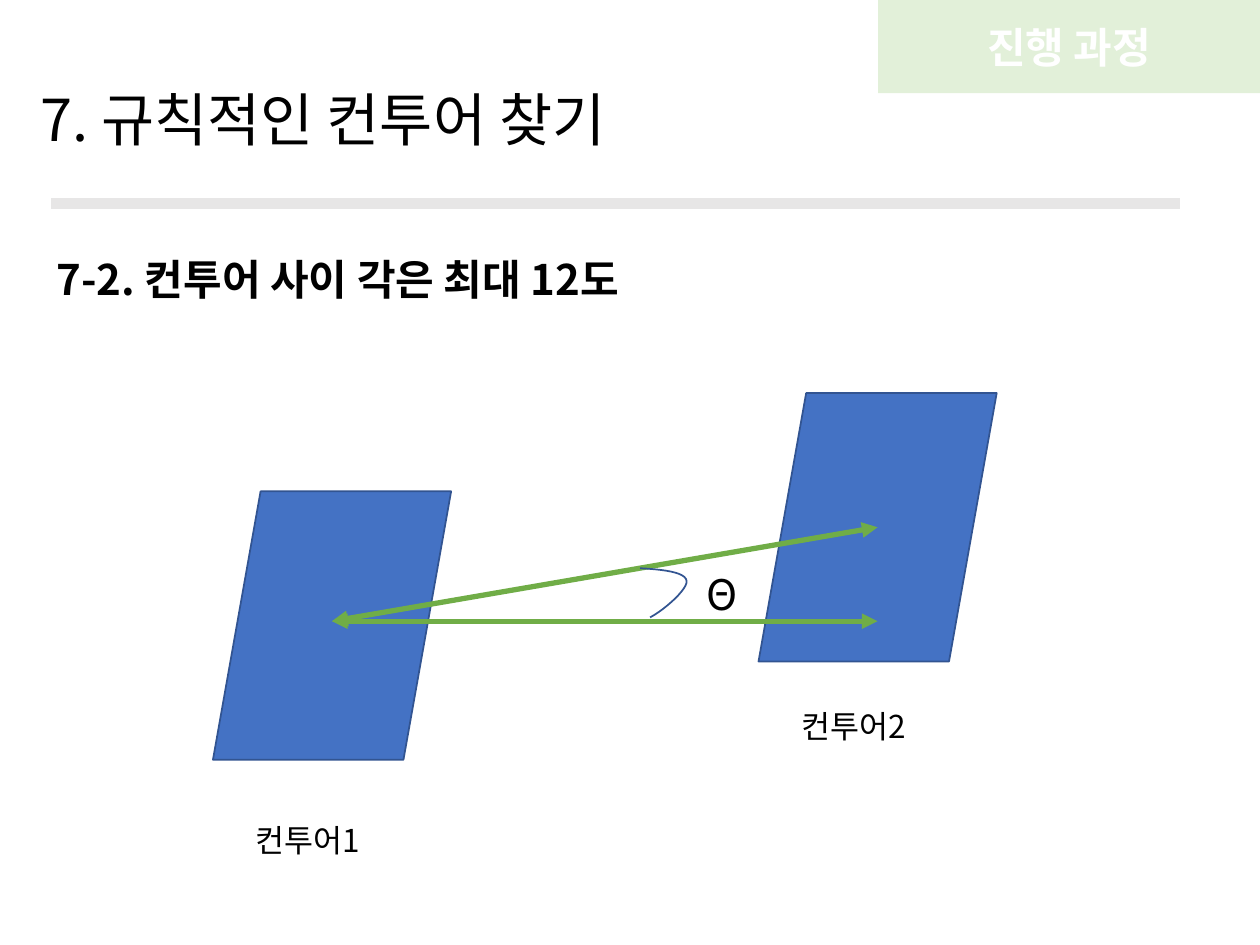
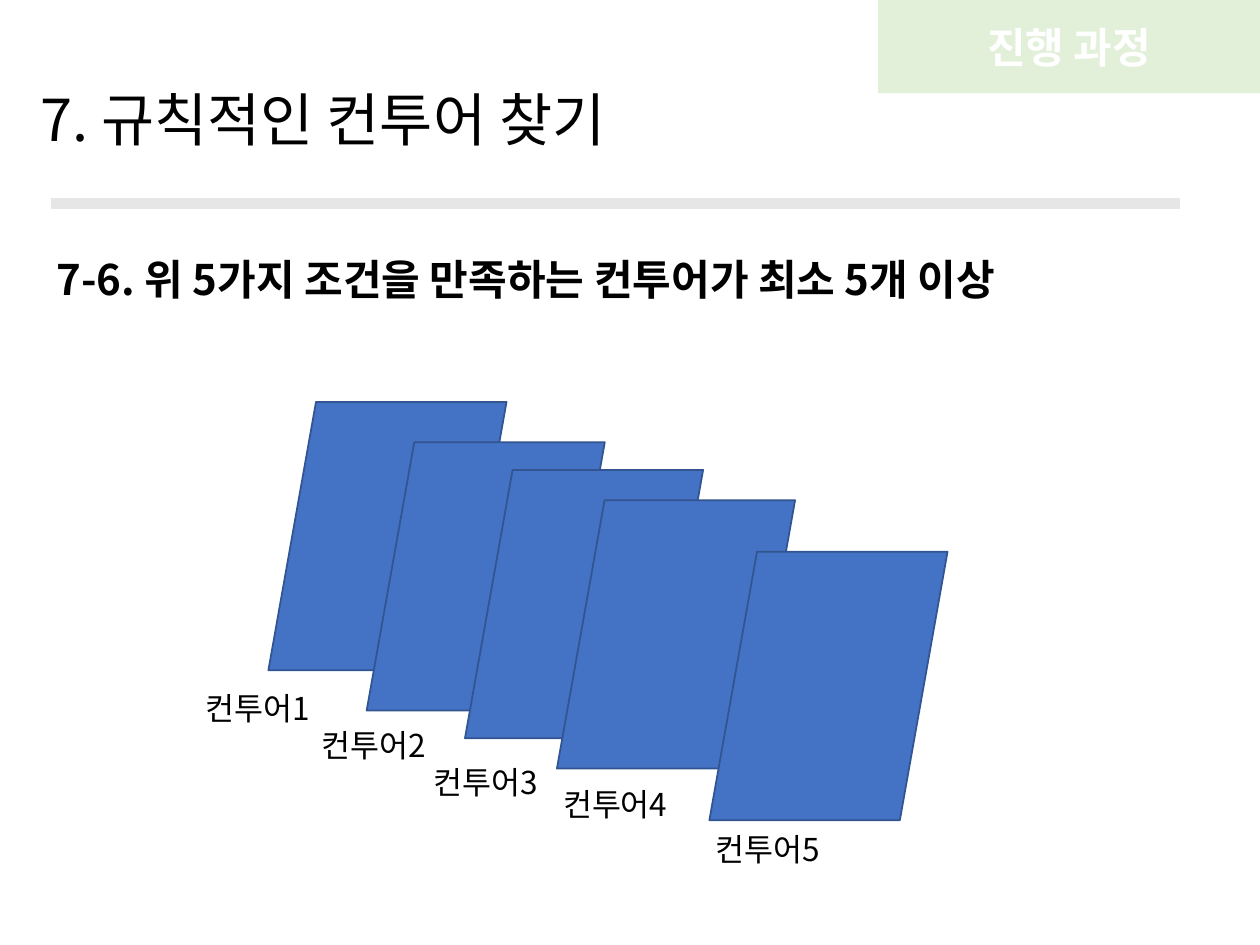
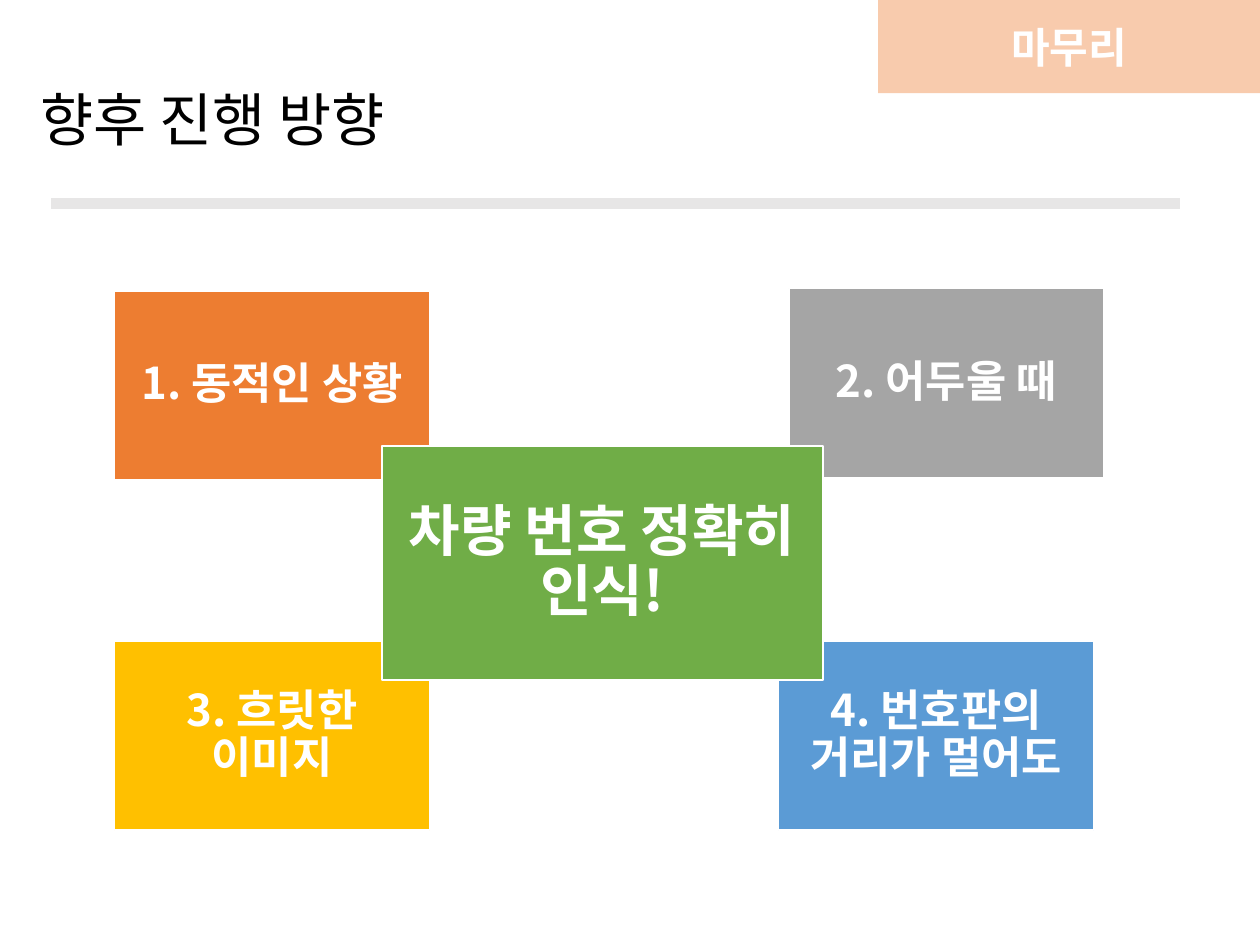
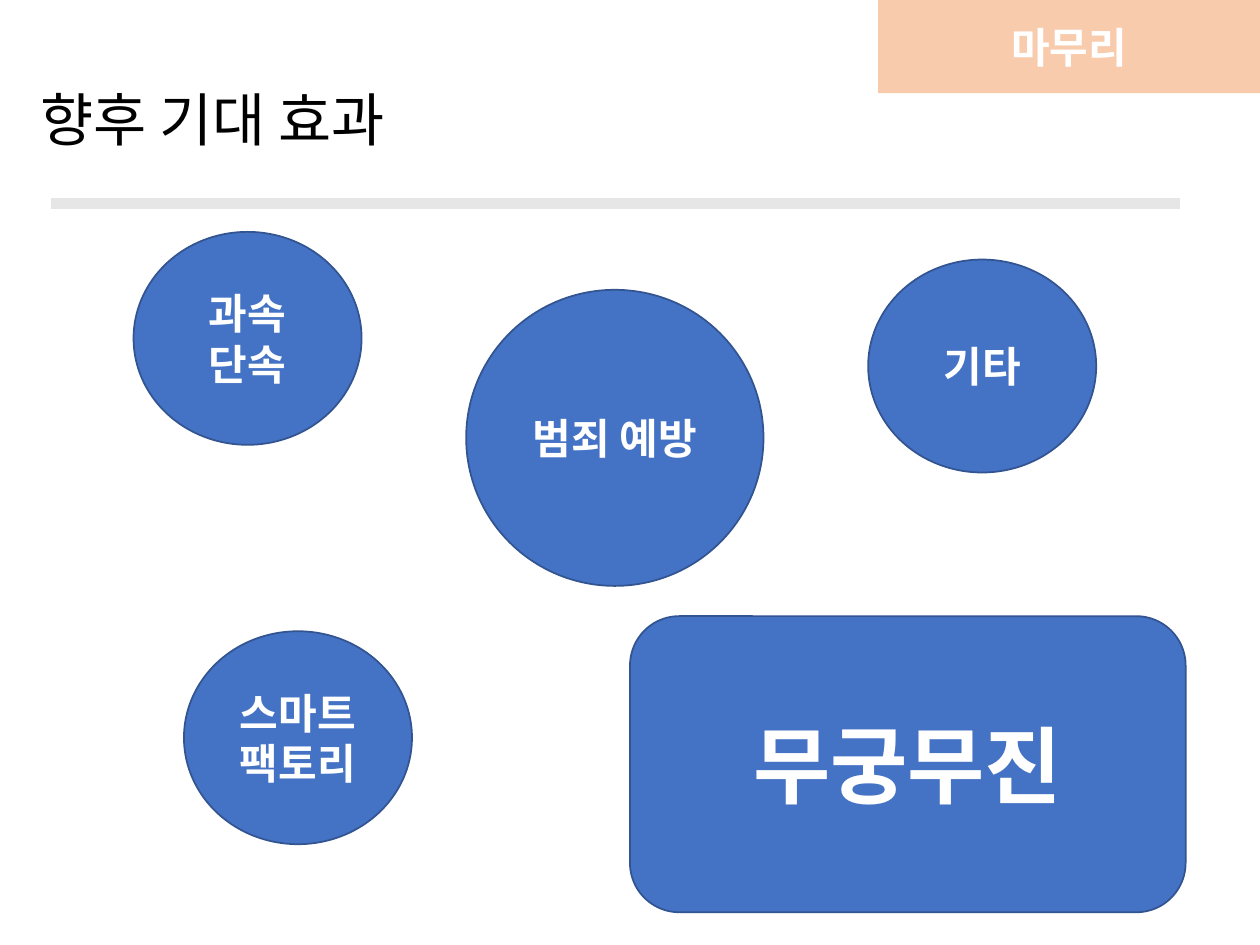
from lxml import etree
from pptx import Presentation
from pptx import util as u
from pptx.dml.color import RGBColor
from pptx.enum import shapes, text
from pptx.oxml.ns import qn

FONT = "Noto Sans CJK KR"
BLACK = RGBColor(0x00, 0x00, 0x00)
WHITE = RGBColor(0xFF, 0xFF, 0xFF)
RULE_GRAY = RGBColor(0xE7, 0xE6, 0xE6)
BLUE = RGBColor(0x44, 0x72, 0xC4)
DARK_BLUE = RGBColor(0x32, 0x54, 0x91)
GREEN = RGBColor(0x70, 0xAD, 0x47)
ORANGE = RGBColor(0xED, 0x7D, 0x31)
GRAY = RGBColor(0xA5, 0xA5, 0xA5)
GOLD = RGBColor(0xFF, 0xC0, 0x00)
LIGHT_BLUE = RGBColor(0x5B, 0x9B, 0xD5)
PALE_GREEN = RGBColor(0xE2, 0xF0, 0xD9)
PALE_ORANGE = RGBColor(0xF8, 0xCB, 0xAD)

presentation = Presentation()
presentation.slide_width = u.Inches(10)
presentation.slide_height = u.Inches(7.5)
COLUMN = presentation.slide_width / 100
ROW = presentation.slide_height / 75

CONTOUR_WIDTH, CONTOUR_HEIGHT = 18.9, 21.3
PRESET = shapes.MSO_SHAPE


def write(shape, wording, size, color=BLACK, bold=False, align=text.PP_ALIGN.LEFT, spacing=None):
    """Set one paragraph and use the font for Latin and Korean letters alike."""
    frame = shape.text_frame
    frame.word_wrap = True
    frame.text = wording
    paragraph = frame.paragraphs[0]
    paragraph.alignment = align
    paragraph.line_spacing = spacing
    for run in paragraph.runs:
        run.font.name = FONT
        run.font.size = u.Pt(size)
        run.font.bold = bold
        run.font.color.rgb = color
        latin = run.font._element.find(qn("a:latin"))
        east_asian = etree.Element(qn("a:ea"), typeface=FONT)
        latin.addnext(east_asian)


def add_block(slide, preset, left, top, width, height, fill, line=None):
    """Add a flat preset shape, measured in grid columns and rows."""
    block = slide.shapes.add_shape(
        preset, u.Emu(round(left * COLUMN)), u.Emu(round(top * ROW)),
        u.Emu(round(width * COLUMN)), u.Emu(round(height * ROW)))
    block.shadow.inherit = False
    block.fill.solid()
    block.fill.fore_color.rgb = fill
    if line is None:
        block.line.fill.background()
    else:
        block.line.color.rgb = line
        block.line.width = u.Pt(1)
    return block


# Title, rule and section band of every slide
pages = [
    ("7. 규칙적인 컨투어 찾기", 61.2, "진행 과정", PALE_GREEN),
    ("7. 규칙적인 컨투어 찾기", 61.2, "진행 과정", PALE_GREEN),
    ("향후 진행 방향", 88, "마무리", PALE_ORANGE),
    ("향후 기대 효과", 88, "마무리", PALE_ORANGE),
]
for heading, heading_width, section, band_color in pages:
    slide = presentation.slides.add_slide(presentation.slide_layouts[5])
    title = slide.shapes.title
    title.left, title.top = round(2.2 * COLUMN), round(2.5 * ROW)
    title.width, title.height = round(heading_width * COLUMN), round(14.5 * ROW)
    title.text_frame.vertical_anchor = text.MSO_ANCHOR.MIDDLE
    write(title, heading, 33, spacing=0.9)
    add_block(slide, PRESET.MATH_MINUS, -12.2, 14.1, 122.1, 4.1, RULE_GRAY, WHITE)
    band = add_block(slide, PRESET.RECTANGLE, 69.7, 0, 30.3, 7.4, band_color)
    write(band, section, 24, WHITE, True, text.PP_ALIGN.CENTER)

angle_slide, count_slide, direction_slide, effect_slide = presentation.slides

# Contours of the two condition slides
angle_contours = [(16.9, 39), (60.2, 31.2)]
count_contours = [(21.3, 31.9), (29.1, 35.1), (36.9, 37.3), (44.2, 39.7), (56.3, 43.8)]
for slide, corners in ((angle_slide, angle_contours), (count_slide, count_contours)):
    for left, top in corners:
        add_block(slide, PRESET.FLOWCHART_DATA, left, top,
                  CONTOUR_WIDTH, CONTOUR_HEIGHT, BLUE, DARK_BLUE)

# Arrows from the first contour: level, and to the centre of the second
start_x, end_x = (left + CONTOUR_WIDTH / 2 for left, top in angle_contours)
start_y = 49.3
for end_y in (start_y, angle_contours[1][1] + CONTOUR_HEIGHT / 2):
    arrow = angle_slide.shapes.add_connector(
        shapes.MSO_CONNECTOR.STRAIGHT, round(start_x * COLUMN), round(start_y * ROW),
        round(end_x * COLUMN), round(end_y * ROW))
    arrow.line.color.rgb = GREEN
    arrow.line.width = u.Pt(3)
    for arrowhead in ("a:headEnd", "a:tailEnd"):
        etree.SubElement(arrow.line._get_or_add_ln(), qn(arrowhead), type="triangle")
    etree.SubElement(arrow._element.spPr, qn("a:effectLst"))

# Angle arc, traced along two Bezier curves
STEPS = 12
arc_curves = [
    ((50.8, 45.1), (52.6, 45.2), (54.4, 45.4), (54.5, 46.1)),
    ((54.5, 46.1), (54.6, 46.7), (52.9, 48.3), (51.6, 49)),
]
arc_points = []
for curve in arc_curves:
    for step in range(STEPS + 1):
        t = step / STEPS
        weights = ((1 - t) ** 3, 3 * t * (1 - t) ** 2, 3 * t ** 2 * (1 - t), t ** 3)
        x, y = (sum(w * p for w, p in zip(weights, axis)) for axis in zip(*curve))
        arc_points.append((round(x * COLUMN), round(y * ROW)))
builder = angle_slide.shapes.build_freeform(*arc_points[0])
builder.add_line_segments(arc_points[1:], close=False)
arc = builder.convert_to_shape()
arc.shadow.inherit = False
arc.fill.background()
arc.line.color.rgb = DARK_BLUE
arc.line.width = u.Pt(1)

# Subtitles and labels: slide, wording, left, top, width, size, bold
labels = [
    (angle_slide, "7-2. 컨투어 사이 각은 최대 12도", 3.5, 19.6, 89, 24, True),
    (angle_slide, "Θ", 55.1, 44.6, 15, 24, False),
    (count_slide, "7-6. 위 5가지 조건을 만족하는 컨투어가 최소 5개 이상", 3.5, 19.6, 89, 24, True),
]
angle_labels = [(19.3, 64.7), (62.6, 55.6)]
count_labels = [(15.3, 54.2), (24.5, 57.1), (33.4, 60.1), (43.7, 61.8), (55.8, 65.4)]
for slide, corners in ((angle_slide, angle_labels), (count_slide, count_labels)):
    for number, (left, top) in enumerate(corners, 1):
        labels.append((slide, f"컨투어{number}", left, top, 16.5, 18, False))
for slide, wording, left, top, width, size, bold in labels:
    label = slide.shapes.add_textbox(
        round(left * COLUMN), round(top * ROW), round(width * COLUMN), round(size / 4.8 * ROW))
    write(label, wording, size, bold=bold)

# Four situations around the goal, which lies on top
goals = [
    ("1. 동적인 상황", 9.1, 23.1, 25, 15, ORANGE, 25, 1),
    ("2. 어두울 때", 62.6, 22.9, 25, 15, GRAY, 25, 1),
    ("3. 흐릿한 이미지", 9.1, 50.9, 25, 15, GOLD, 25, 1),
    ("4. 번호판의 거리가 멀어도", 61.8, 50.9, 25, 15, LIGHT_BLUE, 25, 1),
    ("차량 번호 정확히 인식!", 30.3, 35.4, 35, 18.6, GREEN, 32, 1.3),
]
for wording, left, top, width, height, color, size, inset in goals:
    card = add_block(direction_slide, PRESET.RECTANGLE, left, top, width, height, color, WHITE)
    frame = card.text_frame
    frame.margin_left = frame.margin_right = round(inset * COLUMN)
    frame.margin_top = frame.margin_bottom = round(inset * ROW)
    write(card, wording, size, WHITE, True, text.PP_ALIGN.CENTER, 0.9)

# Expected effects
effects = [
    ("과속 단속", PRESET.OVAL, 10.6, 18.4, 18.1, 16.9, 24),
    ("범죄 예방", PRESET.OVAL, 37, 23, 23.6, 23.5, 24),
    ("스마트 팩토리", PRESET.OVAL, 14.6, 50.1, 18.1, 16.9, 24),
    ("기타", PRESET.OVAL, 68.9, 20.6, 18.1, 16.9, 24),
    ("무궁무진", PRESET.ROUNDED_RECTANGLE, 50, 48.9, 44.1, 23.5, 48),
]
for wording, preset, left, top, width, height, size in effects:
    bubble = add_block(effect_slide, preset, left, top, width, height, BLUE, DARK_BLUE)
    write(bubble, wording, size, WHITE, True, text.PP_ALIGN.CENTER)

presentation.save("out.pptx")
